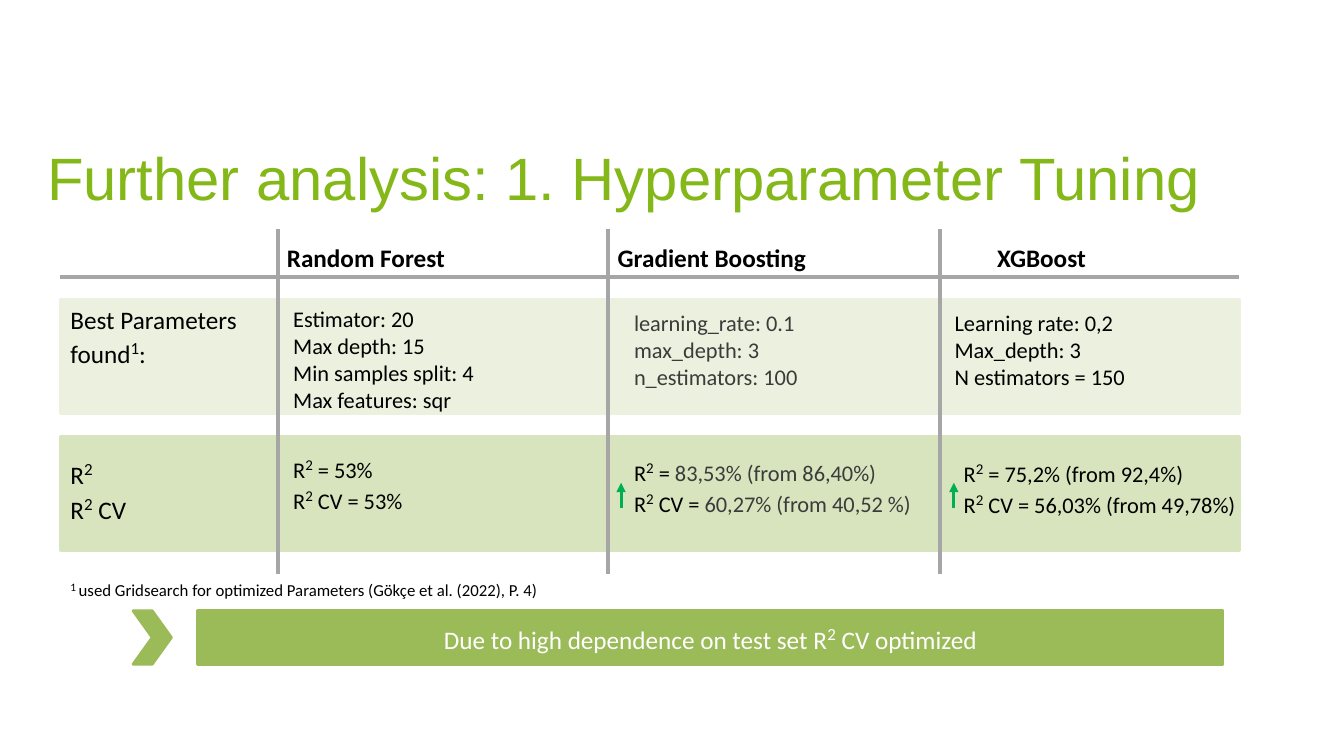
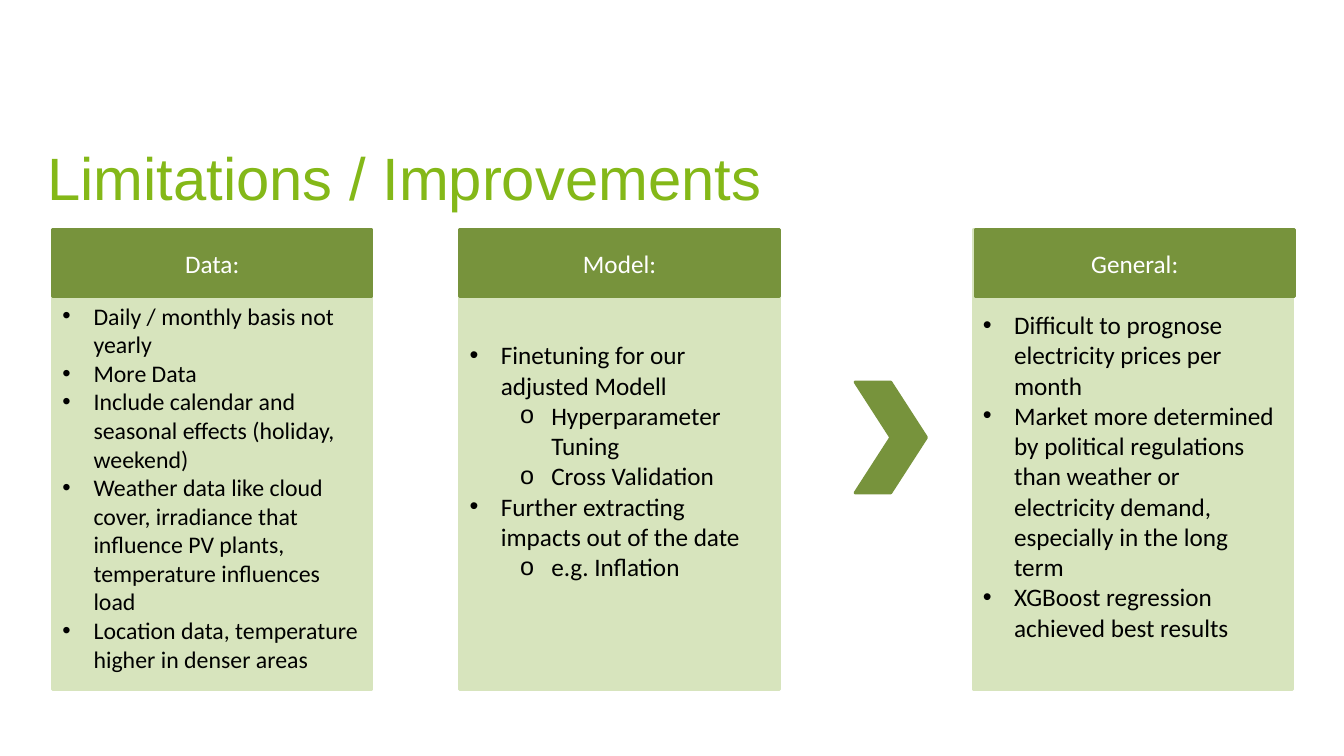
from lxml import etree
from pptx import Presentation
from pptx.dml.color import RGBColor
from pptx.enum.shapes import MSO_CONNECTOR as Connector, MSO_SHAPE as Shape
from pptx.enum.text import MSO_ANCHOR as Anchor, PP_ALIGN as Align
from pptx.oxml.ns import qn
from pptx.util import Inches, Pt

COLORS = {
    "title": "84B818", "text": "000000", "soft": "3B3B3B", "white": "FFFFFF",
    "pale": "EBF1DE", "light": "D7E4BD", "mid": "9BBB59", "dark": "77933C",
    "rule": "A6A6A6", "rise": "00B050",
}
SUPERSCRIPT_SCALE = 1.156
BULLETS = ("•", "o")

# In all texts ^x^ is superscript, and what follows | is in the softer colour.
TUNING_TITLE = "Further analysis: 1. Hyperparameter Tuning"
TABLE_LEFT, TABLE_RIGHT = 0.6, 12.29
HEADER_RULE_Y, DIVIDER_TOP, DIVIDER_BOTTOM = 2.75, 2.27, 5.69
BAND_HEIGHT = 1.13
BANDS = [
    {"top": 2.97, "fill": "pale", "label_top": 2.97,
     "label": ["Best Parameters found^1^:"]},
    {"top": 4.33, "fill": "light", "label_top": 4.47,
     "label": ["R^2^", "R^2^ CV"]},
]
MODELS = [
    {"name": "Random Forest", "divider": 2.76, "center": 3.63,
     "params_at": (2.81, 2.98), "scores_at": (2.81, 4.44),
     "params": ["Estimator: 20", "Max depth: 15", "Min samples split: 4",
                "Max features: sqr"],
     "scores": ["R^2^ = 53%", "R^2^ CV = 53%"]},
    {"name": "Gradient Boosting", "divider": 6.03, "center": 7.06,
     "params_at": (6.19, 3.02), "scores_at": (6.19, 4.47), "arrow": 6.16,
     "params": ["|learning_rate: 0.1", "|max_depth: 3", "|n_estimators: 100"],
     "scores": ["R^2^ = |83,53% (from 86,40%)",
                "R^2^ CV = |60,27% (from 40,52 %)"]},
    {"name": "XGBoost", "divider": 9.32, "center": 10.33,
     "params_at": (9.37, 3.02), "scores_at": (9.46, 4.48), "arrow": 9.46,
     "params": ["Learning rate: 0,2", "Max_depth: 3", "N estimators = 150"],
     "scores": ["R^2^ = 75,2% (from 92,4%)",
                "R^2^ CV = 56,03% (from 49,78%)"]},
]
FOOTNOTE = "^1 ^used Gridsearch for optimized Parameters (Gökçe et al. (2022), P. 4)"
CONCLUSION = "Due to high dependence on test set R^2^ CV optimized"

LIMITS_TITLE = "Limitations / Improvements"
CARD_TOP, CARD_WIDTH, CARD_HEIGHT, HEADING_HEIGHT = 2.28, 3.17, 4.56, 0.66
CARDS = [
    {"heading": "Data:", "left": 0.52, "heading_left": 0.52, "size": 17, "inset": 0.71,
     "points": [
         (0, "Daily / monthly basis not yearly"),
         (0, "More Data"),
         (0, "Include calendar and seasonal effects (holiday, weekend)"),
         (0, "Weather data like cloud cover, irradiance that influence PV plants, "
             "temperature influences load"),
         (0, "Location data, temperature higher in denser areas")]},
    {"heading": "Model:", "left": 4.56, "heading_left": 4.56, "size": 18, "inset": 1.09,
     "points": [
         (0, "Finetuning for our adjusted Modell"),
         (1, "Hyperparameter Tuning"),
         (1, "Cross Validation"),
         (0, "Further extracting impacts out of the date"),
         (1, "e.g. Inflation")]},
    {"heading": "General:", "left": 9.65, "heading_left": 9.67, "size": 18, "inset": 0.79,
     "points": [
         (0, "Difficult to prognose electricity prices per month"),
         (0, "Market more determined by political regulations than weather or "
             "electricity demand, especially in the long term"),
         (0, "XGBoost regression achieved best results")]},
]


def rgb(color):
    return RGBColor.from_string(COLORS[color])


def set_all(target, values):
    for name, value in values.items():
        setattr(target, name, value)


def add_runs(paragraph, text, size, color="text", font="Calibri", bold=False):
    """Write text as runs, reading the ^ and | marks."""
    for part, part_color in zip(text.split("|"), (color, "soft")):
        for index, piece in enumerate(part.split("^")):
            if not piece:
                continue
            raised = index % 2 == 1
            run = paragraph.add_run()
            run.text = piece
            points = round(size * SUPERSCRIPT_SCALE, 1) if raised else size
            set_all(run.font, {"name": font, "size": Pt(points), "bold": bold})
            run.font.color.rgb = rgb(part_color)
            if raised:
                run.font._element.set("baseline", "30000")


def paragraphs(frame, count):
    return [frame.paragraphs[0]] + [frame.add_paragraph() for _ in range(count - 1)]


def write(frame, lines, size, align=Align.LEFT, **style):
    frame.word_wrap = True
    for paragraph, line in zip(paragraphs(frame, len(lines)), lines):
        paragraph.alignment = align
        add_runs(paragraph, line, size, **style)


def add_text(slide, box, lines, size, **style):
    frame = slide.shapes.add_textbox(*map(Inches, box)).text_frame
    write(frame, lines, size, **style)
    return frame


def add_block(slide, box, color, kind=Shape.RECTANGLE):
    block = slide.shapes.add_shape(kind, *map(Inches, box))
    block.shadow.inherit = False
    block.fill.solid()
    block.fill.fore_color.rgb = rgb(color)
    block.line.color.rgb = rgb(color)
    block.line.width = Pt(2)
    return block


def add_banner(slide, box, color, text):
    frame = add_block(slide, box, color).text_frame
    frame.vertical_anchor = Anchor.MIDDLE
    write(frame, [text], 18, align=Align.CENTER, color="white")


def add_line(slide, start, end, color, width, arrow=False):
    line = slide.shapes.add_connector(Connector.STRAIGHT, *map(Inches, start + end))
    line.line.color.rgb = rgb(color)
    line.line.width = Pt(width)
    if arrow:
        etree.SubElement(line.line._get_or_add_ln(), qn("a:tailEnd"), type="triangle")
    etree.SubElement(line._element.spPr, qn("a:effectLst"))


def add_bullet(paragraph, level):
    paragraph.level = level
    properties = paragraph._p.get_or_add_pPr()
    properties.set("marL", str(Inches(0.31 + 0.5 * level)))
    properties.set("indent", str(Inches(-0.31)))
    color = etree.SubElement(properties, qn("a:buClr"))
    etree.SubElement(color, qn("a:srgbClr"), val=COLORS["text"])
    etree.SubElement(properties, qn("a:buFont"), typeface="Arial")
    etree.SubElement(properties, qn("a:buChar"), char=BULLETS[level])


def add_titled_slide(deck, title):
    slide = deck.slides.add_slide(deck.slide_layouts[6])
    frame = add_text(slide, (0.37, 1.37, 12.6, 0.74), [title], 42.7,
                     color="title", font="Arial")
    set_all(frame, {"vertical_anchor": Anchor.BOTTOM, "margin_top": 0,
                    "margin_bottom": 0})
    return slide


def build_tuning(deck):
    slide = add_titled_slide(deck, TUNING_TITLE)
    for band in BANDS:
        add_block(slide, (TABLE_LEFT, band["top"], TABLE_RIGHT - TABLE_LEFT, BAND_HEIGHT),
                  band["fill"])
        add_text(slide, (TABLE_LEFT, band["label_top"], 2.02, 0.9), band["label"], 18)
    add_line(slide, (TABLE_LEFT, HEADER_RULE_Y), (TABLE_RIGHT, HEADER_RULE_Y), "rule", 3)
    for model in MODELS:
        x = model["divider"]
        add_line(slide, (x, DIVIDER_TOP), (x, DIVIDER_BOTTOM), "rule", 3)
        add_text(slide, (model["center"] - 1.8, 2.35, 3.6, 0.4), [model["name"]], 18,
                 align=Align.CENTER, bold=True)
        for part in ("params", "scores"):
            add_text(slide, model[part + "_at"] + (3.13, 0.9), model[part], 16)
        if "arrow" in model:
            add_line(slide, (model["arrow"], 5.04), (model["arrow"], 4.79), "rise", 2.25,
                     arrow=True)
    add_text(slide, (TABLE_LEFT, 5.68, 6.75, 0.3), [FOOTNOTE], 12)
    add_block(slide, (1.32, 6.06, 0.38, 0.53), "mid", Shape.CHEVRON)
    add_banner(slide, (1.96, 6.06, 10.17, 0.53), "mid", CONCLUSION)


def build_limits(deck):
    slide = add_titled_slide(deck, LIMITS_TITLE)
    for card in CARDS:
        frame = add_block(slide, (card["left"], CARD_TOP, CARD_WIDTH, CARD_HEIGHT),
                          "light").text_frame
        set_all(frame, {"word_wrap": True, "vertical_anchor": Anchor.TOP,
                        "margin_top": Inches(card["inset"])})
        points = card["points"]
        for paragraph, (level, text) in zip(paragraphs(frame, len(points)), points):
            paragraph.alignment = Align.LEFT
            add_bullet(paragraph, level)
            add_runs(paragraph, text, card["size"])
        add_banner(slide, (card["heading_left"], CARD_TOP, CARD_WIDTH, HEADING_HEIGHT),
                   "dark", card["heading"])
    add_block(slide, (8.48, 3.79, 0.71, 1.1), "dark", Shape.CHEVRON)


def main():
    deck = Presentation()
    set_all(deck, {"slide_width": Inches(13.33), "slide_height": Inches(7.5)})
    build_tuning(deck)
    build_limits(deck)
    deck.save("out.pptx")


if __name__ == "__main__":
    main()
